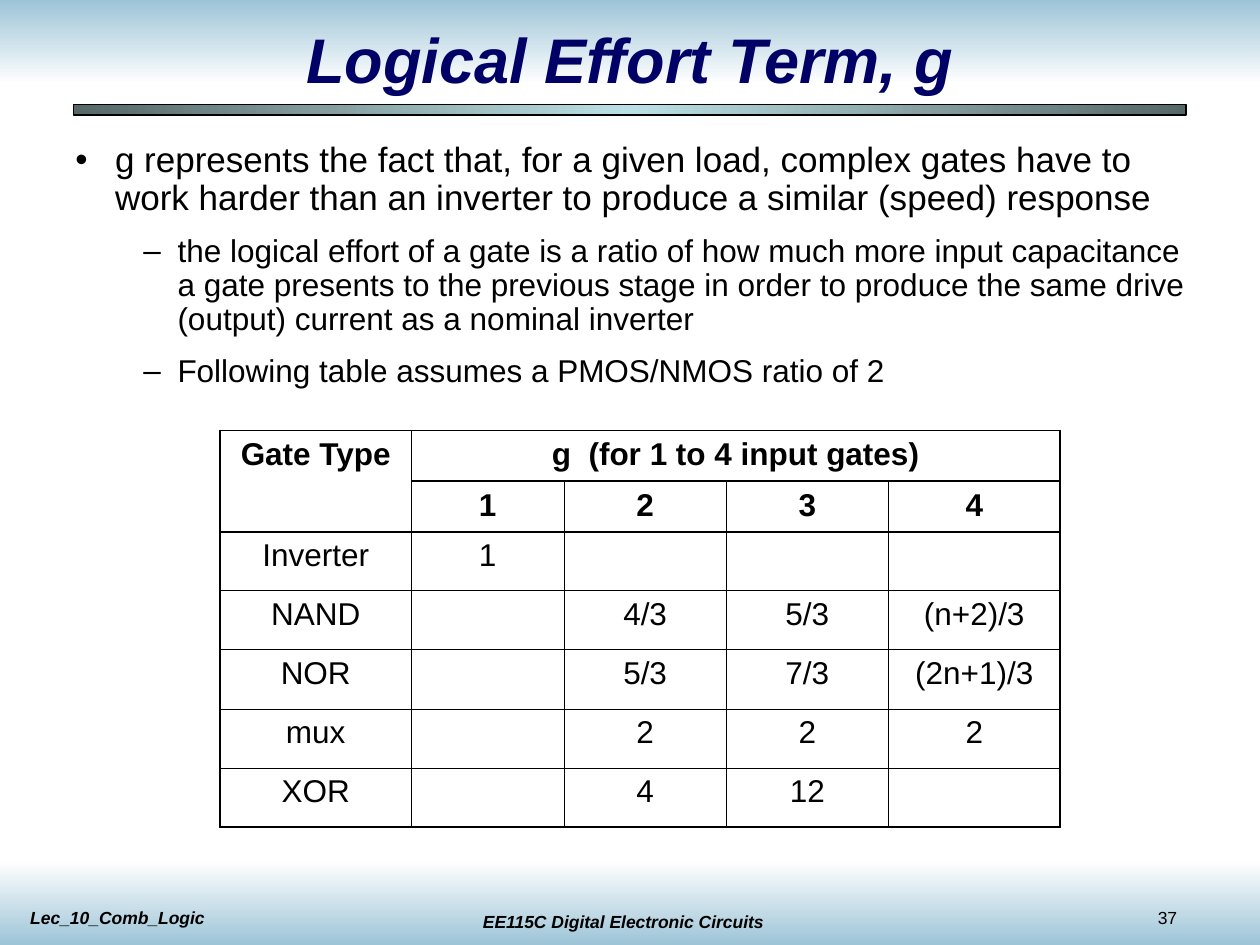
from lxml import etree
from pptx import Presentation
from pptx.dml.color import RGBColor
from pptx.enum.shapes import MSO_SHAPE
from pptx.enum.text import MSO_ANCHOR, PP_ALIGN
from pptx.oxml.ns import qn
from pptx.util import Cm, Pt

RECT = MSO_SHAPE.RECTANGLE
MID = MSO_ANCHOR.MIDDLE
LEFT, MIDDLE = PP_ALIGN.LEFT, PP_ALIGN.CENTER
FONT, BLACK, WHITE, NAVY = "Arial", "000000", "FFFFFF", "000066"
SKY, SLATE, AQUA = "9DC4D7", "566768", "BBE0E3"
WIDE, HIGH = 25.4, 19.05
BAND = 1.7
THICK, THIN = 1.08, 0.45

POINTS = [
    (0, "g represents the fact that, for a given load, complex gates have to "
        "work harder than an inverter to produce a similar (speed) response"),
    (1, "the logical effort of a gate is a ratio of how much more input "
        "capacitance a gate presents to the previous stage in order to "
        "produce the same drive (output) current as a nominal inverter"),
    (1, "Following table assumes a PMOS/NMOS ratio of 2"),
]
LEVELS = [("•", 0.8, -0.8, 20), ("–", 2.06, -0.69, 18)]
ROWS = [
    ["Gate Type", "g  (for 1 to 4 input gates)", "", "", ""],
    ["", "1", "2", "3", "4"],
    ["Inverter", "1", "", "", ""],
    ["NAND", "", "4/3", "5/3", "(n+2)/3"],
    ["NOR", "", "5/3", "7/3", "(2n+1)/3"],
    ["mux", "", "2", "2", "2"],
    ["XOR", "", "4", "12", ""],
]
COLS = [3.85, 3.08, 3.27, 3.27, 3.46]
HEADS = 2


def color(code):
    return RGBColor.from_string(code)


def write(para, text, size, bold=False, slant=False, ink=BLACK):
    run = para.add_run()
    run.text = text
    font = run.font
    font.name, font.size = FONT, Pt(size)
    font.bold, font.italic = bold, slant
    font.color.rgb = color(ink)


def add_box(slide, box, wrap=True):
    frame = slide.shapes.add_textbox(*map(Cm, box)).text_frame
    frame.word_wrap = wrap
    return frame


def add_band(slide, box, codes, angle, edge=False):
    shape = slide.shapes.add_shape(RECT, *map(Cm, box))
    shape.shadow.inherit = False
    shape.fill.gradient()
    shape.fill.gradient_angle = angle
    stops = shape._element.spPr.find(".//" + qn("a:gsLst"))
    for old in list(stops):
        stops.remove(old)
    for i, code in enumerate(codes):
        pos = str(100000 * i // (len(codes) - 1))
        stop = etree.SubElement(stops, qn("a:gs"), pos=pos)
        etree.SubElement(stop, qn("a:srgbClr"), val=code)
    if edge:
        shape.line.color.rgb = color(BLACK)
        shape.line.width = Pt(0.75)
    else:
        shape.line.fill.background()


def add_foot(slide, box):
    left, top, width, height = box
    labels = [
        (0.36, 0.81, 7.19, "Lec_10_Comb_Logic", LEFT, True),
        (8.97, 0.89, 7.19, "EE115C Digital Electronic Circuits", MIDDLE, True),
        (23.09, 0.81, 2.11, "37", LEFT, False),
    ]
    add_band(slide, box, [WHITE, SKY], 270)
    for x, y, span, text, align, strong in labels:
        frame = add_box(slide, (left + x, top + y, span, 0.69), strong)
        para = frame.paragraphs[0]
        para.alignment = align
        write(para, text, 10, strong, strong)


def add_title(slide, box):
    left, top, width, height = box
    add_band(slide, (left, top, width, BAND), [SKY, WHITE], 270)
    add_band(slide, (left + 1.48, top + 2.11, 22.43, 0.21),
             [SLATE, AQUA, SLATE], 0, True)
    frame = add_box(slide, (left + 1.91, top + 0.43, 21.59, 1.48))
    frame.vertical_anchor = MID
    para = frame.paragraphs[0]
    para.alignment = MIDDLE
    write(para, "Logical Effort Term, g", 36, True, True, NAVY)


def add_points(slide, box):
    frame = add_box(slide, box)
    for i, (level, text) in enumerate(POINTS):
        mark, margin, indent, size = LEVELS[level]
        para = frame.add_paragraph() if i else frame.paragraphs[0]
        para.level = level
        para.line_spacing = 0.9
        if i:
            para.space_before = Pt(10)
        props = para._p.get_or_add_pPr()
        props.set("marL", str(Cm(margin)))
        props.set("indent", str(Cm(indent)))
        tint = etree.SubElement(props, qn("a:buClr"))
        etree.SubElement(tint, qn("a:srgbClr"), val=BLACK)
        etree.SubElement(props, qn("a:buFont"), typeface=FONT)
        etree.SubElement(props, qn("a:buChar"), char=mark)
        write(para, text, size)


def add_edges(cell, row, col):
    def pick(strong):
        return THICK if strong else THIN

    sides = [
        ("L", pick(col == 0)),
        ("R", pick(col == len(COLS) - 1 or cell.span_width == len(COLS) - 1)),
        ("T", pick(row <= HEADS)),
        ("B", pick(row < HEADS or row == len(ROWS) - 1)),
    ]
    props = cell._tc.get_or_add_tcPr()
    for i, (side, width) in enumerate(sides):
        line = etree.Element(qn("a:ln" + side), w=str(Pt(width)))
        fill = etree.SubElement(line, qn("a:solidFill"))
        etree.SubElement(fill, qn("a:srgbClr"), val=BLACK)
        props.insert(i, line)


def add_grid(slide, box):
    frame = slide.shapes.add_table(len(ROWS), len(COLS), *map(Cm, box))
    table = frame.table
    table.first_row = table.horz_banding = False
    for col, width in zip(table.columns, COLS):
        col.width = Cm(width)
    for i, row in enumerate(table.rows):
        row.height = Cm(1.02 if i < HEADS else 1.19)
    table.cell(0, 0).merge(table.cell(1, 0))
    table.cell(0, 1).merge(table.cell(0, len(COLS) - 1))
    for i, texts in enumerate(ROWS):
        for j, text in enumerate(texts):
            cell = table.cell(i, j)
            cell.fill.background()
            add_edges(cell, i, j)
            if text:
                para = cell.text_frame.paragraphs[0]
                para.alignment = MIDDLE
                write(para, text, 18, i < HEADS)


def main():
    deck = Presentation()
    deck.slide_width, deck.slide_height = Cm(WIDE), Cm(HIGH)
    slide = deck.slides.add_slide(deck.slide_layouts[6])
    add_foot(slide, (0, HIGH - BAND, WIDE, BAND))
    add_title(slide, (0, 0, WIDE, 2.32))
    add_points(slide, (1.27, 2.75, 22.86, 6.77))
    add_grid(slide, (4.44, 8.68, sum(COLS), 7.99))
    deck.save("out.pptx")


if __name__ == "__main__":
    main()
